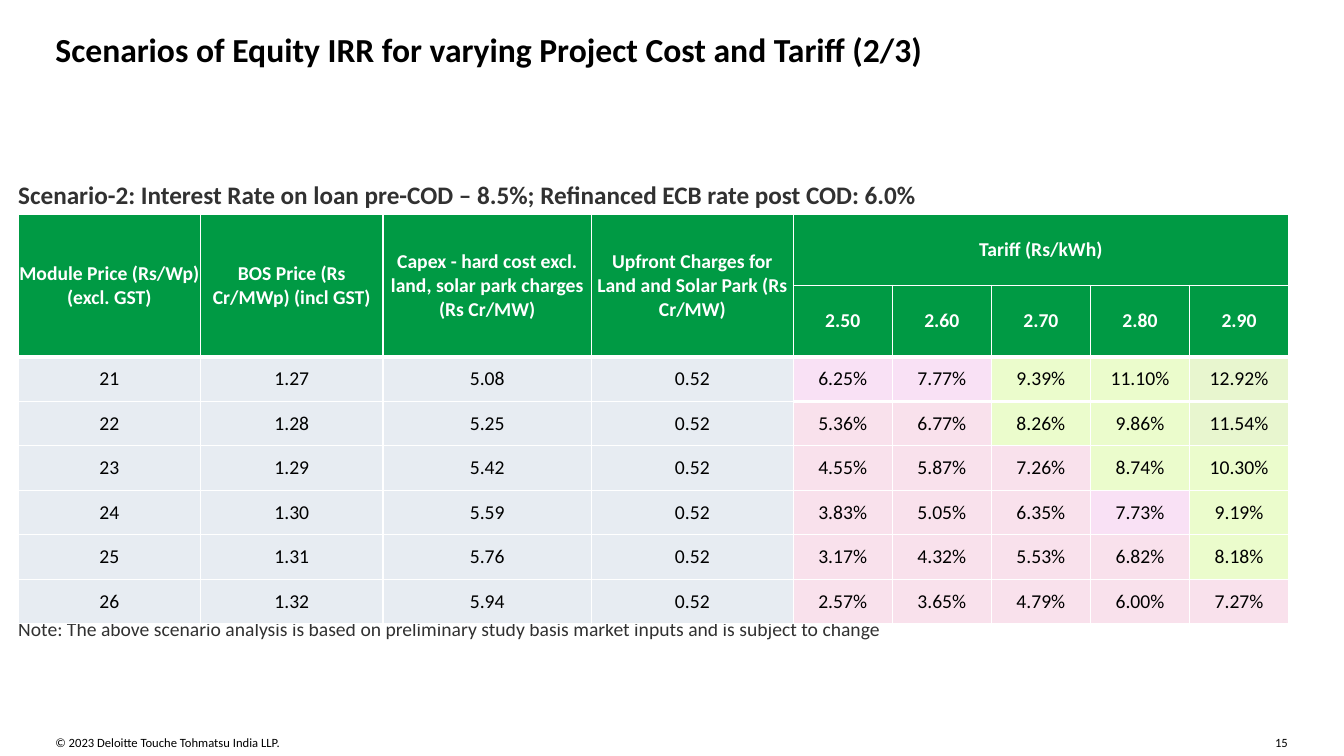
import pptx
import pptx.util
import pptx.dml.color
import pptx.enum.text
import pptx.oxml
import pptx.oxml.ns

Pt = pptx.util.Pt
ALIGN = pptx.enum.text.PP_ALIGN
ANCHOR = pptx.enum.text.MSO_ANCHOR

GREEN, WHITE, BLACK, GREY = "009A44", "FFFFFF", "000000", "313131"
INPUT = "E7ECF2"
TINTS = {"P": "F9E1EC", "V": "F9E1F5", "G": "EBFCCC", "L": "E8F6CF"}

HEADS = ["Module Price (Rs/Wp) (excl. GST)",
         "BOS Price (Rs Cr/MWp) (incl GST)",
         "Capex - hard cost excl. land, solar park charges (Rs Cr/MW)",
         "Upfront Charges for Land and Solar Park (Rs Cr/MW)"]
TARIFFS = ["2.50", "2.60", "2.70", "2.80", "2.90"]
# Module price, BOS price, capex, upfront charges, IRR per tariff, tints
ROWS = [
    ("21 1.27 5.08 0.52 6.25% 7.77% 9.39% 11.10% 12.92%", "VVGGL"),
    ("22 1.28 5.25 0.52 5.36% 6.77% 8.26% 9.86% 11.54%", "PPGGL"),
    ("23 1.29 5.42 0.52 4.55% 5.87% 7.26% 8.74% 10.30%", "PPPGG"),
    ("24 1.30 5.59 0.52 3.83% 5.05% 6.35% 7.73% 9.19%", "PPPVG"),
    ("25 1.31 5.76 0.52 3.17% 4.32% 5.53% 6.82% 8.18%", "PPPPG"),
    ("26 1.32 5.94 0.52 2.57% 3.65% 4.79% 6.00% 7.27%", "PPPPP"),
]
WIDTHS = [130.3, 130.3, 149, 144] + [70.8] * len(TARIFFS)
HEIGHTS = [50.4, 49.7] + [31.8] * len(ROWS)


def color(code):
    return pptx.dml.color.RGBColor.from_string(code)


class Deck:
    font = "Calibri"

    def __init__(self, wide, high):
        self.prs = pptx.Presentation()
        self.prs.slide_width, self.prs.slide_height = Pt(wide), Pt(high)
        self.slide = self.prs.slides.add_slide(self.prs.slide_layouts[5])

    def style(self, para, size, ink, bold=False, align=ALIGN.LEFT):
        para.alignment = align
        for run in para.runs:
            run.font.name = self.font
            run.font.size = Pt(size)
            run.font.bold = bold
            run.font.color.rgb = color(ink)

    def fill_box(self, box, text, size, ink, bold=False, wrap=True):
        frame = box.text_frame
        frame.margin_left = frame.margin_right = 0
        frame.margin_top = frame.margin_bottom = 0
        frame.vertical_anchor = ANCHOR.TOP
        frame.auto_size = pptx.enum.text.MSO_AUTO_SIZE.NONE
        frame.word_wrap = wrap
        frame.text = text
        self.style(frame.paragraphs[0], size, ink, bold)

    def title(self, text, left, top, wide, high):
        box = self.slide.shapes.title
        box.left, box.top = Pt(left), Pt(top)
        box.width, box.height = Pt(wide), Pt(high)
        self.fill_box(box, text, 24, BLACK, True)

    def label(self, text, left, top, wide, high, size, ink, **look):
        box = self.slide.shapes.add_textbox(
            Pt(left), Pt(top), Pt(wide), Pt(high))
        self.fill_box(box, text, size, ink, **look)

    def table(self, left, top, widths, heights):
        grid = self.slide.shapes.add_table(
            len(heights), len(widths), Pt(left), Pt(top),
            Pt(sum(widths)), Pt(sum(heights))).table
        for col, wide in zip(grid.columns, widths):
            col.width = Pt(wide)
        for row, high in zip(grid.rows, heights):
            row.height = Pt(high)
        return grid

    def cell(self, cell, text, back, ink, bold=False, top=1, base=1):
        """Write one cell; top and base are border widths in points."""
        cell.margin_left = cell.margin_right = 0
        cell.margin_top = cell.margin_bottom = 0
        cell.vertical_anchor = ANCHOR.MIDDLE
        cell.text = text
        self.style(cell.text_frame.paragraphs[0], 14, ink, bold, ALIGN.CENTER)
        props = cell._tc.get_or_add_tcPr()
        for side, size in (("L", 1), ("R", 1), ("T", top), ("B", base)):
            props.append(pptx.oxml.parse_xml(
                f'<a:ln{side} {pptx.oxml.ns.nsdecls("a")} w="{Pt(size)}">'
                f'<a:solidFill><a:srgbClr val="{WHITE}"/></a:solidFill>'
                f'</a:ln{side}>'))
        cell.fill.solid()
        cell.fill.fore_color.rgb = color(back)


def fill_table(deck, grid):
    first = len(HEADS)
    last = len(WIDTHS) - 1
    for c in range(first):
        grid.cell(0, c).merge(grid.cell(1, c))
    grid.cell(0, first).merge(grid.cell(0, last))

    tops = HEADS + ["Tariff (Rs/kWh)"] + [""] * (last - first)
    lows = [""] * first + TARIFFS
    for c, (top, low) in enumerate(zip(tops, lows)):
        deck.cell(grid.cell(0, c), top, GREEN, WHITE, True,
                  base=3 if c < first else 1)
        deck.cell(grid.cell(1, c), low, GREEN, WHITE, True, base=3)

    for r, (values, tints) in enumerate(ROWS, 2):
        backs = [INPUT] * first + [TINTS[key] for key in tints]
        for c, (value, back) in enumerate(zip(values.split(), backs)):
            rate = c >= first
            deck.cell(grid.cell(r, c), value, back, BLACK,
                      top=3 if r == 2 or (r == 3 and rate) else 1,
                      base=3 if r == 2 and rate else 1)


def main():
    deck = Deck(960, 540)
    deck.title("Scenarios of Equity IRR for varying Project Cost and "
               "Tariff (2/3)", 39.6, 20.9, 881.3, 26.6)
    deck.label("Scenario-2: Interest Rate on loan pre-COD – 8.5%; "
               "Refinanced ECB rate post COD: 6.0%",
               13, 128.2, 931.7, 21.6, 18, GREY, bold=True)
    deck.label("Note: The above scenario analysis is based on preliminary "
               "study basis market inputs and is subject to change",
               13, 440.6, 931.7, 17.3, 14, GREY)
    fill_table(deck, deck.table(13, 153.4, WIDTHS, HEIGHTS))
    deck.label("© 2023 Deloitte Touche Tohmatsu India LLP.",
               39.6, 524.9, 421.9, 10.8, 9, BLACK)
    deck.label("15", 910.8, 524.9, 10.8, 10.8, 9, BLACK, wrap=False)
    deck.prs.save("out.pptx")


if __name__ == "__main__":
    main()
